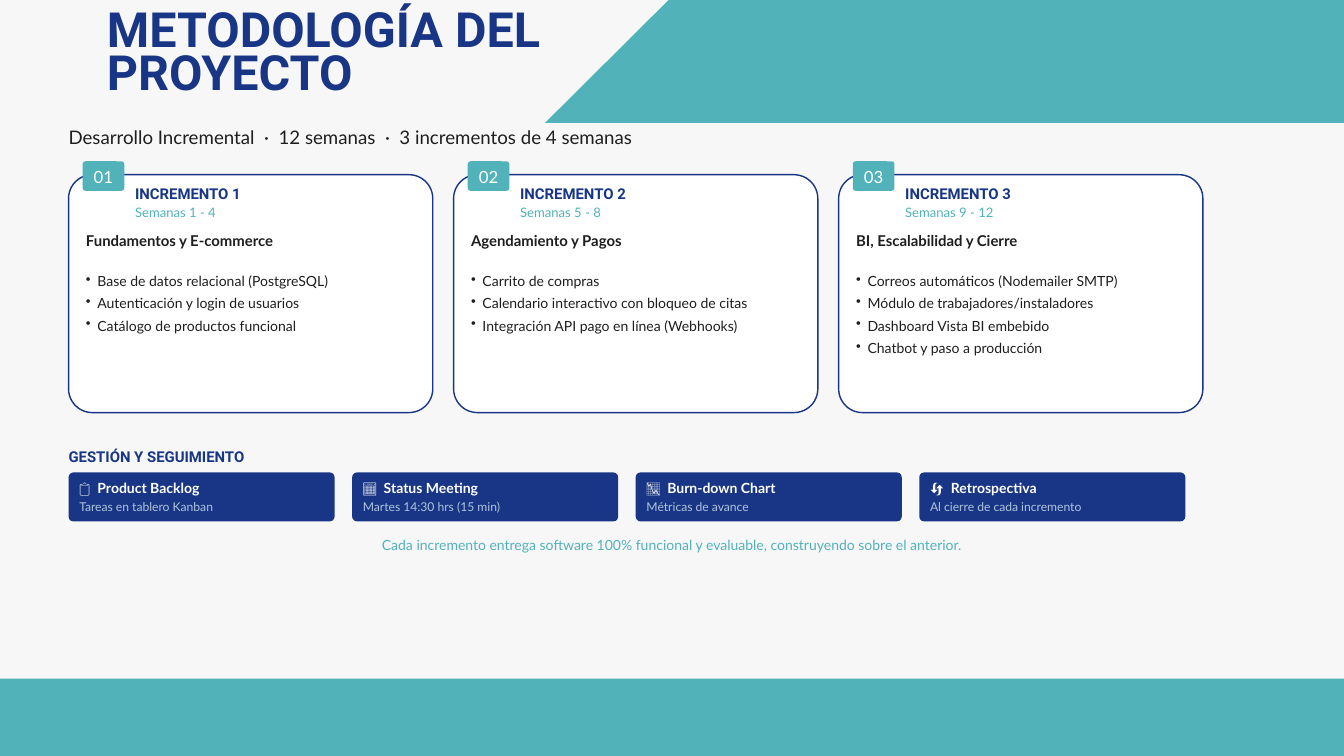
from dataclasses import dataclass

from lxml import etree
from pptx import Presentation
from pptx.dml.color import RGBColor
from pptx.enum.shapes import MSO_SHAPE
from pptx.enum.text import MSO_ANCHOR, PP_ALIGN
from pptx.oxml.ns import qn
from pptx.util import Inches, Pt

NAVY = RGBColor(0x18, 0x36, 0x85)
TEAL = RGBColor(0x51, 0xB2, 0xBA)
INK = RGBColor(0x1E, 0x1E, 0x1E)
WHITE = RGBColor(0xFF, 0xFF, 0xFF)
PALE_BLUE = RGBColor(0xB0, 0xC4, 0xDE)
BACKGROUND = RGBColor(0xF7, 0xF7, 0xF7)

RECTANGLE = MSO_SHAPE.RECTANGLE
ROUNDED = MSO_SHAPE.ROUNDED_RECTANGLE
LEFT, CENTER = PP_ALIGN.LEFT, PP_ALIGN.CENTER
TOP, MIDDLE = MSO_ANCHOR.TOP, MSO_ANCHOR.MIDDLE

SLIDE_WIDTH, SLIDE_HEIGHT = 20, 11.25
MARGIN = 1.02
INCREMENT_PITCH = 5.73
PRACTICE_PITCH = 4.22
BULLET_INDENT = 0.17


@dataclass(frozen=True)
class Style:
    size: float
    color: RGBColor
    leading: float
    font: str = "Lato"
    bold: bool = False
    align: PP_ALIGN = LEFT


@dataclass(frozen=True)
class Increment:
    number: int
    weeks: str
    theme: str
    tasks: tuple[str, ...]


@dataclass(frozen=True)
class Practice:
    icon: str
    name: str
    detail: str
    name_indent: float = 0.31


TITLE = Style(51.9, NAVY, 46.7, "Roboto", True)
SUBTITLE = Style(20, INK, 28)
HEADING = Style(16, NAVY, 19.2, "Roboto", True)
BADGE = Style(18, WHITE, 25.2, align=CENTER)
WEEKS = Style(14, TEAL, 16.8)
THEME = Style(16, INK, 20.8, bold=True)
TASK = Style(15, INK, 24)
ICON = Style(15, WHITE, 18)
PRACTICE_NAME = Style(15, WHITE, 18, bold=True)
PRACTICE_DETAIL = Style(13, PALE_BLUE, 15.6)
CLOSING = Style(15, TEAL, 21, align=CENTER)

INCREMENTS = (
    Increment(1, "Semanas 1 - 4", "Fundamentos y E-commerce", (
        "Base de datos relacional (PostgreSQL)",
        "Autenticación y login de usuarios",
        "Catálogo de productos funcional")),
    Increment(2, "Semanas 5 - 8", "Agendamiento y Pagos", (
        "Carrito de compras",
        "Calendario interactivo con bloqueo de citas",
        "Integración API pago en línea (Webhooks)")),
    Increment(3, "Semanas 9 - 12", "BI, Escalabilidad y Cierre", (
        "Correos automáticos (Nodemailer SMTP)",
        "Módulo de trabajadores/instaladores",
        "Dashboard Vista BI embebido",
        "Chatbot y paso a producción")),
)
PRACTICES = (
    Practice("📋", "Product Backlog", "Tareas en tablero Kanban", 0.27),
    Practice("📅", "Status Meeting", "Martes 14:30 hrs (15 min)"),
    Practice("📉", "Burn-down Chart", "Métricas de avance"),
    Practice("🔄", "Retrospectiva", "Al cierre de cada incremento"),
)


def add_run(paragraph, text: str, style: Style) -> None:
    run = paragraph.add_run()
    run.text = text
    run.font.name = style.font
    run.font.size = Pt(style.size)
    run.font.bold = style.bold
    run.font.color.rgb = style.color


def format_paragraph(paragraph, style: Style) -> None:
    paragraph.alignment = style.align
    paragraph.line_spacing = Pt(style.leading)


def hang(paragraph, indent: float):
    """Set a hanging indent and return the paragraph properties."""
    properties = paragraph._p.get_or_add_pPr()
    properties.set("marL", str(Inches(indent)))
    properties.set("indent", str(-Inches(indent)))
    return properties


def add_frame(slide, left: float, top: float, width: float, height: float):
    frame = slide.shapes.add_textbox(
        Inches(left), Inches(top), Inches(width), Inches(height)).text_frame
    frame.margin_left = frame.margin_right = 0
    frame.margin_top = frame.margin_bottom = 0
    frame.vertical_anchor = TOP
    frame.word_wrap = True
    return frame


def add_text(slide, left: float, top: float, width: float, height: float,
             text: str, style: Style) -> None:
    paragraph = add_frame(slide, left, top, width, height).paragraphs[0]
    format_paragraph(paragraph, style)
    add_run(paragraph, text, style)


def paint(shape, fill: RGBColor, outline: RGBColor | None = None) -> None:
    shape.shadow.inherit = False
    shape.fill.solid()
    shape.fill.fore_color.rgb = fill
    if outline is None:
        shape.line.fill.background()
    else:
        shape.line.color.rgb = outline
        shape.line.width = Pt(1.5)


def add_rounded(slide, left: float, top: float, width: float, height: float,
                fill: RGBColor, outline: RGBColor | None = None):
    shape = slide.shapes.add_shape(
        ROUNDED, Inches(left), Inches(top), Inches(width), Inches(height))
    shape.adjustments[0] = 0.1
    paint(shape, fill, outline)
    return shape


def add_bands(slide) -> None:
    corners = [(Inches(x), Inches(y)) for x, y in
               ((9.95, 0), (SLIDE_WIDTH, 0), (SLIDE_WIDTH, 1.83), (8.11, 1.83))]
    builder = slide.shapes.build_freeform(*corners[0], scale=1.0)
    builder.add_line_segments(corners[1:], close=True)
    paint(builder.convert_to_shape(), TEAL)

    footer_top = 10.1
    footer = slide.shapes.add_shape(
        RECTANGLE, 0, Inches(footer_top),
        Inches(SLIDE_WIDTH), Inches(SLIDE_HEIGHT - footer_top))
    paint(footer, TEAL)


def add_increment(slide, left: float, increment: Increment) -> None:
    add_rounded(slide, left, 2.6, 5.42, 3.54, WHITE, NAVY)

    badge = add_rounded(slide, left + 0.21, 2.4, 0.62, 0.44, TEAL).text_frame
    badge.margin_left = badge.margin_right = Inches(0.06)
    badge.margin_top, badge.margin_bottom = 0, Inches(0.04)
    badge.vertical_anchor = MIDDLE
    format_paragraph(badge.paragraphs[0], BADGE)
    add_run(badge.paragraphs[0], f"{increment.number:02d}", BADGE)

    add_text(slide, left + 0.99, 2.75, 4.27, 0.27,
             f"INCREMENTO {increment.number}", HEADING)
    add_text(slide, left + 0.99, 3.04, 4.27, 0.23, increment.weeks, WEEKS)
    add_text(slide, left + 0.26, 3.42, 4.9, 0.28, increment.theme, THEME)

    height = len(increment.tasks) * TASK.leading / 72
    tasks = add_frame(slide, left + 0.26, 3.97, 4.9, height)
    for index, task in enumerate(increment.tasks):
        paragraph = tasks.add_paragraph() if index else tasks.paragraphs[0]
        bullet = etree.SubElement(hang(paragraph, BULLET_INDENT), qn("a:buChar"))
        bullet.set("char", "•")
        format_paragraph(paragraph, TASK)
        add_run(paragraph, task, TASK)


def add_practice(slide, left: float, practice: Practice) -> None:
    add_rounded(slide, left, 7.03, 3.96, 0.73, NAVY)

    name = add_frame(slide, left + 0.16, 7.14, 3.65, 0.25).paragraphs[0]
    tabs = etree.SubElement(hang(name, practice.name_indent), qn("a:tabLst"))
    etree.SubElement(tabs, qn("a:tab"),
                     pos=str(Inches(practice.name_indent)), algn="l")
    format_paragraph(name, ICON)
    add_run(name, practice.icon + "\t", ICON)
    add_run(name, practice.name, PRACTICE_NAME)

    add_text(slide, left + 0.16, 7.43, 3.65, 0.21,
             practice.detail, PRACTICE_DETAIL)


def main() -> None:
    deck = Presentation()
    deck.slide_width, deck.slide_height = Inches(SLIDE_WIDTH), Inches(SLIDE_HEIGHT)
    slide = deck.slides.add_slide(deck.slide_layouts[6])
    slide.background.fill.solid()
    slide.background.fill.fore_color.rgb = BACKGROUND

    # Header and footer
    add_bands(slide)
    add_text(slide, 1.59, 0.2, 8.02, 1.34, "METODOLOGÍA DEL PROYECTO", TITLE)
    add_text(slide, MARGIN, 1.82, 10.42, 0.38,
             "Desarrollo Incremental  ·  12 semanas  ·  3 incrementos de 4 semanas",
             SUBTITLE)

    # Increments
    for column, increment in enumerate(INCREMENTS):
        add_increment(slide, MARGIN + column * INCREMENT_PITCH, increment)

    # Management and follow-up
    add_text(slide, MARGIN, 6.66, 5.21, 0.27, "GESTIÓN Y SEGUIMIENTO", HEADING)
    for column, practice in enumerate(PRACTICES):
        add_practice(slide, MARGIN + column * PRACTICE_PITCH, practice)

    # Closing line
    add_text(slide, 3.75, 7.94, 12.5, 0.28,
             "Cada incremento entrega software 100% funcional y evaluable, "
             "construyendo sobre el anterior.", CLOSING)

    deck.save("out.pptx")


if __name__ == "__main__":
    main()
